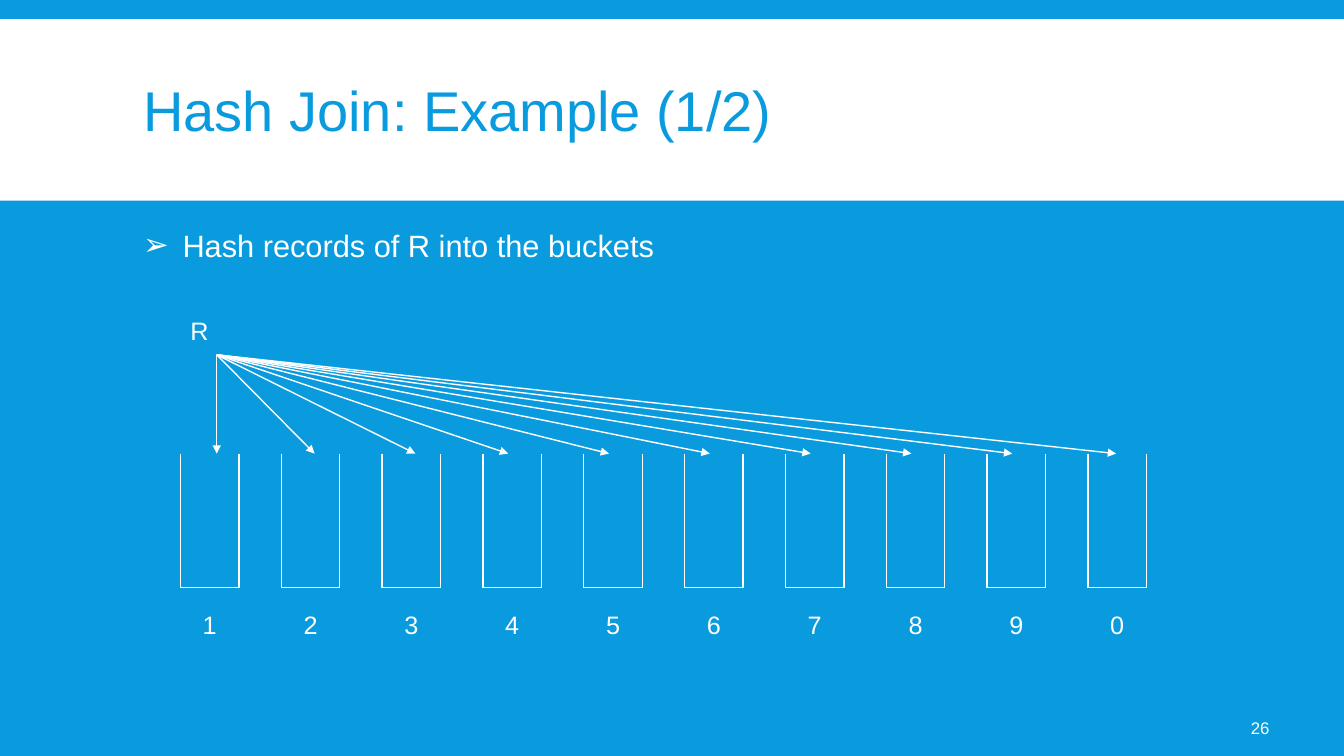
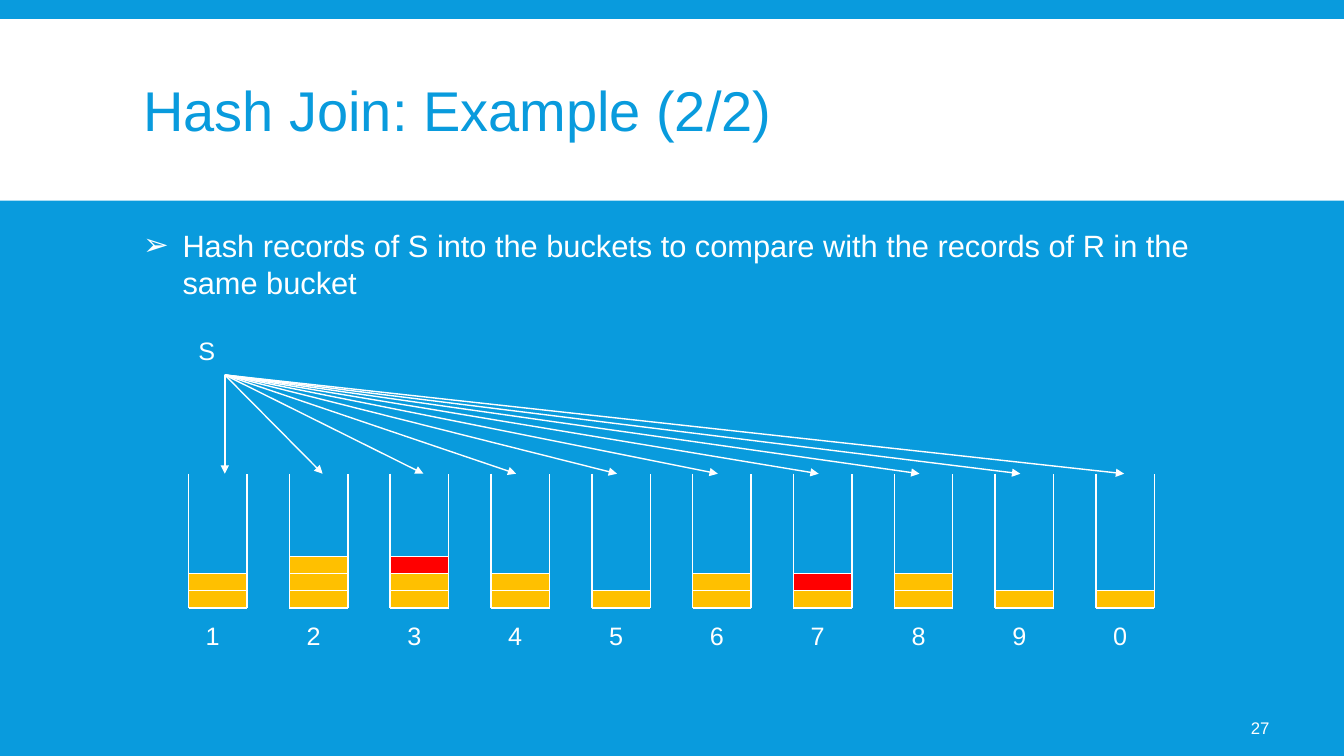
from lxml import etree
from pptx import Presentation
from pptx.dml.color import RGBColor
from pptx.enum.shapes import MSO_CONNECTOR as CONN, MSO_SHAPE as SHAPE
from pptx.enum.text import MSO_ANCHOR as ANCHOR, MSO_AUTO_SIZE as AUTO, PP_ALIGN as ALIGN
from pptx.oxml.ns import qn
from pptx.util import Inches, Pt

BLUE, WHITE, AMBER, RED = "099BDD", "FFFFFF", "FFC000", "FF0000"
FONT = "Arial"
RECORD_COLORS = {"r": AMBER, "s": RED}

# Bucket diagram, in inches from its top left corner
BUCKET_LABELS = "1234567890"
PITCH, BUCKET_W = 1.0, 0.58
BUCKET_TOP, BUCKET_BOTTOM = 1.42, 2.75
SOURCE_X, SOURCE_Y = 0.36, 0.44
ARROW_TIPS = [0.36, 1.33, 2.33, 3.25, 4.25, 5.25, 6.25, 7.25, 8.25, 9.28]
RECORD_H = 0.17
LABEL_H = 0.4


def rgb(color):
    return RGBColor.from_string(color)


def write(tf, text, size=18, color=WHITE, align=ALIGN.LEFT, anchor=ANCHOR.TOP):
    """Put one formatted paragraph into a text frame and return it."""
    tf.word_wrap = True
    tf.auto_size = AUTO.NONE
    tf.vertical_anchor = anchor
    p = tf.paragraphs[0]
    p.alignment = align
    r = p.add_run()
    r.text = text
    r.font.name, r.font.size = FONT, Pt(size)
    r.font.color.rgb = rgb(color)
    return p


def add_text(slide, box, text, **fmt):
    sp = slide.shapes.add_textbox(*map(Inches, box))
    write(sp.text_frame, text, **fmt)
    return sp


def add_rect(slide, box, fill, line=None):
    sp = slide.shapes.add_shape(SHAPE.RECTANGLE, *map(Inches, box))
    sp.shadow.inherit = False
    sp.fill.solid()
    sp.fill.fore_color.rgb = rgb(fill)
    if line:
        sp.line.color.rgb = rgb(line)
        sp.line.width = Pt(1)
    else:
        sp.line.fill.background()
    return sp


def add_line(slide, start, end, arrow=False):
    line = slide.shapes.add_connector(CONN.STRAIGHT, *map(Inches, start + end))
    line.line.color.rgb = rgb(WHITE)
    line.line.width = Pt(1)
    sp_pr = line.element.spPr
    if arrow:
        etree.SubElement(sp_pr.find(qn("a:ln")), qn("a:tailEnd"), type="triangle")
    etree.SubElement(sp_pr, qn("a:effectLst"))


def add_bullet(p, char):
    p_pr = p._p.get_or_add_pPr()
    p_pr.set("marL", str(Inches(0.39)))
    p_pr.set("indent", str(-Inches(0.39)))
    color = etree.SubElement(p_pr, qn("a:buClr"))
    etree.SubElement(color, qn("a:srgbClr"), val=WHITE)
    etree.SubElement(p_pr, qn("a:buFont"), typeface=FONT)
    etree.SubElement(p_pr, qn("a:buChar"), char=char)


def place(sp, box):
    sp.left, sp.top, sp.width, sp.height = map(Inches, box)


def style_layout(prs, layout):
    """Shared background and placeholder positions."""
    fill = prs.slide_master.background.fill
    fill.solid()
    fill.fore_color.rgb = rgb(BLUE)
    place(layout.placeholders[0], (1.32, 0.31, 10.7, 1.65))
    place(layout.placeholders[1], (1.32, 2.2, 10.7, 4.6))


def add_band(slide, layout):
    """Draw the white title band and hand it to the layout, behind everything."""
    band = add_rect(slide, (0, 0.19, 13.33, 1.8), WHITE)
    layout.shapes.element.insert(2, band.element)


def add_content_slide(prs, layout, title, bullet, number):
    slide = prs.slides.add_slide(layout)
    p = write(slide.shapes.title.text_frame, title, size=40, color=BLUE,
              anchor=ANCHOR.MIDDLE)
    p.line_spacing = 0.85
    p = write(slide.placeholders[1].text_frame, bullet, size=22)
    add_bullet(p, "➢")
    p.space_before, p.space_after = Pt(0), Pt(2)
    add_text(slide, (11.66, 7.02, 1.03, 0.4), number, size=12,
             align=ALIGN.RIGHT, anchor=ANCHOR.MIDDLE)
    return slide


def add_bucket(slide, left, top, bottom, records):
    """An open-topped bucket with its records stacked from the bottom."""
    right = left + BUCKET_W
    corners = [(left, top), (left, bottom), (right, bottom), (right, top)]
    for start, end in zip(corners, corners[1:]):
        add_line(slide, start, end)
    for level, kind in enumerate(records, 1):
        add_rect(slide, (left, bottom - level * RECORD_H, BUCKET_W, RECORD_H),
                 RECORD_COLORS[kind], WHITE)


def add_hash_diagram(slide, left, top, relation, stacks, label_dx, label_dy):
    """A relation whose records are hashed into ten numbered buckets."""
    add_text(slide, (left, top, 0.57, LABEL_H), relation)
    source = (left + SOURCE_X, top + SOURCE_Y)
    bucket_top = top + BUCKET_TOP
    for i, (label, tip, records) in enumerate(zip(BUCKET_LABELS, ARROW_TIPS, stacks)):
        x = left + i * PITCH
        add_bucket(slide, x, bucket_top, top + BUCKET_BOTTOM, records)
        add_line(slide, source, (left + tip, bucket_top), arrow=True)
        add_text(slide, (x + label_dx, top + label_dy, BUCKET_W, LABEL_H), label,
                 align=ALIGN.CENTER)


def main():
    prs = Presentation()
    prs.slide_width, prs.slide_height = Inches(13.33), Inches(7.5)
    layout = prs.slide_layouts[1]
    style_layout(prs, layout)

    # Hashing R into empty buckets
    slide = add_content_slide(prs, layout, "Hash Join: Example (1/2)",
                              "Hash records of R into the buckets", "26")
    add_band(slide, layout)
    add_hash_diagram(slide, 1.79, 3.08, "R", [""] * 10, 0, 2.92)

    # Hashing S: "r" is a stored record, "s" a match on top of it
    slide = add_content_slide(prs, layout, "Hash Join: Example (2/2)",
                              "Hash records of S into the buckets to compare with "
                              "the records of R in the same bucket", "27")
    stacks = ["rr", "rrr", "rrs", "rr", "r", "rr", "rs", "rr", "r", "r"]
    add_hash_diagram(slide, 1.87, 3.28, "S", stacks, -0.05, 2.82)

    prs.save("out.pptx")


if __name__ == "__main__":
    main()
